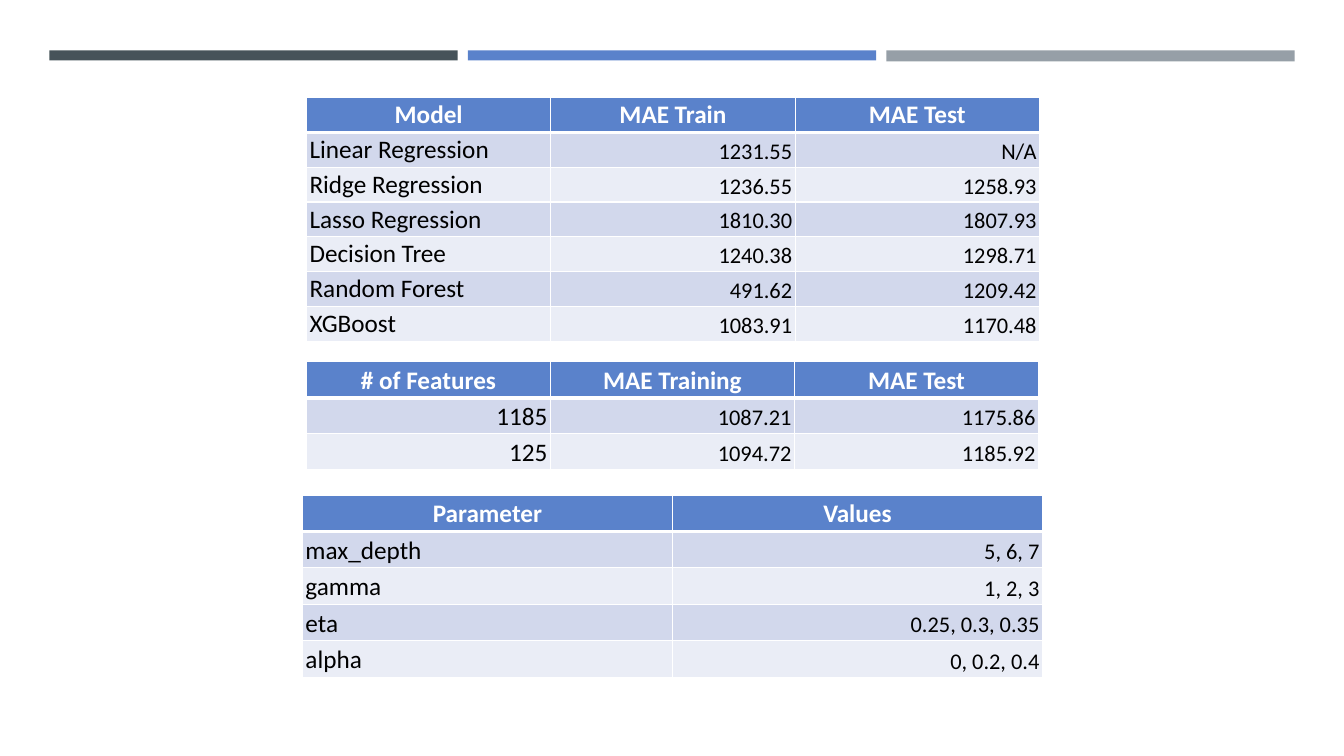
import pptx
import pptx.util
import pptx.dml.color
import pptx.enum.shapes
import pptx.enum.text
import pptx.oxml
import pptx.oxml.ns

# Content
MODELS = [
    ("Model", "MAE Train", "MAE Test"),
    ("Linear Regression", "1231.55", "N/A"),
    ("Ridge Regression", "1236.55", "1258.93"),
    ("Lasso Regression", "1810.30", "1807.93"),
    ("Decision Tree", "1240.38", "1298.71"),
    ("Random Forest", "491.62", "1209.42"),
    ("XGBoost", "1083.91", "1170.48"),
]
FEATURES = [
    ("# of Features", "MAE Training", "MAE Test"),
    ("1185", "1087.21", "1175.86"),
    ("125", "1094.72", "1185.92"),
]
PARAMETERS = [
    ("Parameter", "Values"),
    ("max_depth", "5, 6, 7"),
    ("gamma", "1, 2, 3"),
    ("eta", "0.25, 0.3, 0.35"),
    ("alpha", "0, 0.2, 0.4"),
]
COLORS = {
    "slate": "465359", "blue": "5A82CB", "gray": "969FA7",
    "odd": "D2D8EC", "even": "EAEDF6", "white": "FFFFFF", "black": "000000",
}

# Layout in inches: rows, left, top, width, row height
TABLES = [
    (MODELS, 3.04, 0.97, 7.27, 0.345),
    (FEATURES, 3.04, 3.59, 7.26, 0.357),
    (PARAMETERS, 3.0, 4.91, 7.34, 0.362),
]
BARS = [("slate", 0.1), ("blue", 0.1), ("gray", 0.11)]
BAR_LEFT, BAR_TOP, BAR_WIDTH, BAR_STEP = 0.49, 0.5, 4.05, 4.15
CELL_FORMAT = {
    "margin_left": pptx.util.Inches(0.03),
    "margin_right": pptx.util.Inches(0.03),
    "margin_top": pptx.util.Inches(0.02),
    "margin_bottom": pptx.util.Inches(0.02),
    "vertical_anchor": pptx.enum.text.MSO_ANCHOR.BOTTOM,
}
ALIGN = pptx.enum.text.PP_ALIGN


def rgb(name):
    return pptx.dml.color.RGBColor.from_string(COLORS[name])


def apply(target, values):
    for name, value in values.items():
        setattr(target, name, value)


def paint(target, name):
    target.fill.solid()
    target.fill.fore_color.rgb = rgb(name)


def add_borders(cell, widths):
    properties = cell._tc.get_or_add_tcPr()
    for index, (side, points) in enumerate(widths.items()):
        properties.insert(index, pptx.oxml.parse_xml(
            f'<a:ln{side} {pptx.oxml.ns.nsdecls("a")} w="{pptx.util.Pt(points)}">'
            f'<a:solidFill><a:srgbClr val="{COLORS["white"]}"/></a:solidFill>'
            f'</a:ln{side}>'))


def fill_cell(cell, text, row, column):
    header = row == 0
    apply(cell, CELL_FORMAT)
    paint(cell, "blue" if header else "odd" if row % 2 else "even")
    add_borders(cell, {"L": 1, "R": 1, "T": 3 if row == 1 else 1, "B": 3 if header else 1})
    para = cell.text_frame.paragraphs[0]
    if header:
        para.alignment = ALIGN.CENTER
    else:
        para.alignment = ALIGN.RIGHT if column or text.isdigit() else ALIGN.LEFT
    span = para.add_run()
    span.text = text
    apply(span.font, {
        "name": "Calibri",
        "size": pptx.util.Pt(18 if header or column == 0 else 16),
        "bold": header,
    })
    span.font.color.rgb = rgb("white" if header else "black")


def add_grid(page, rows, left, top, width, row_height):
    columns = len(rows[0])
    box = [pptx.util.Inches(v) for v in (left, top, width, row_height * len(rows))]
    table = page.shapes.add_table(len(rows), columns, *box).table
    for column in table.columns:
        column.width = pptx.util.Inches(width / columns)
    for r, values in enumerate(rows):
        table.rows[r].height = pptx.util.Inches(row_height)
        for c, text in enumerate(values):
            fill_cell(table.cell(r, c), text, r, c)


def main():
    deck = pptx.Presentation()
    deck.slide_width = pptx.util.Inches(13.33)
    deck.slide_height = pptx.util.Inches(7.5)
    page = deck.slides.add_slide(deck.slide_layouts[6])

    # Header bars
    for index, (color, height) in enumerate(BARS):
        frame = (BAR_LEFT + index * BAR_STEP, BAR_TOP, BAR_WIDTH, height)
        bar = page.shapes.add_shape(pptx.enum.shapes.MSO_SHAPE.RECTANGLE,
                                    *[pptx.util.Inches(v) for v in frame])
        bar.shadow.inherit = False
        paint(bar, color)
        bar.line.fill.background()

    # Result tables
    for layout in TABLES:
        add_grid(page, *layout)
    deck.save("out.pptx")


if __name__ == "__main__":
    main()
